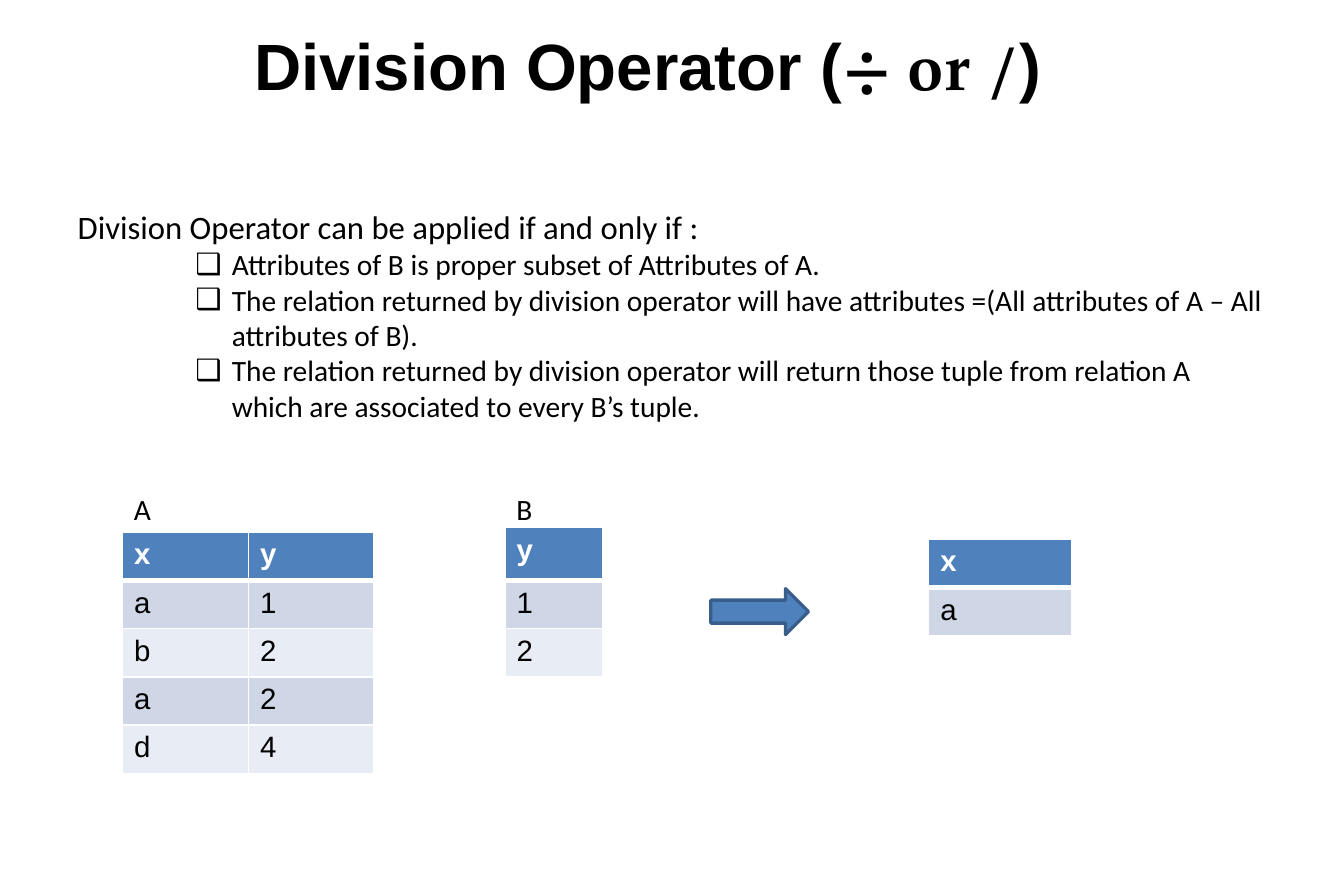
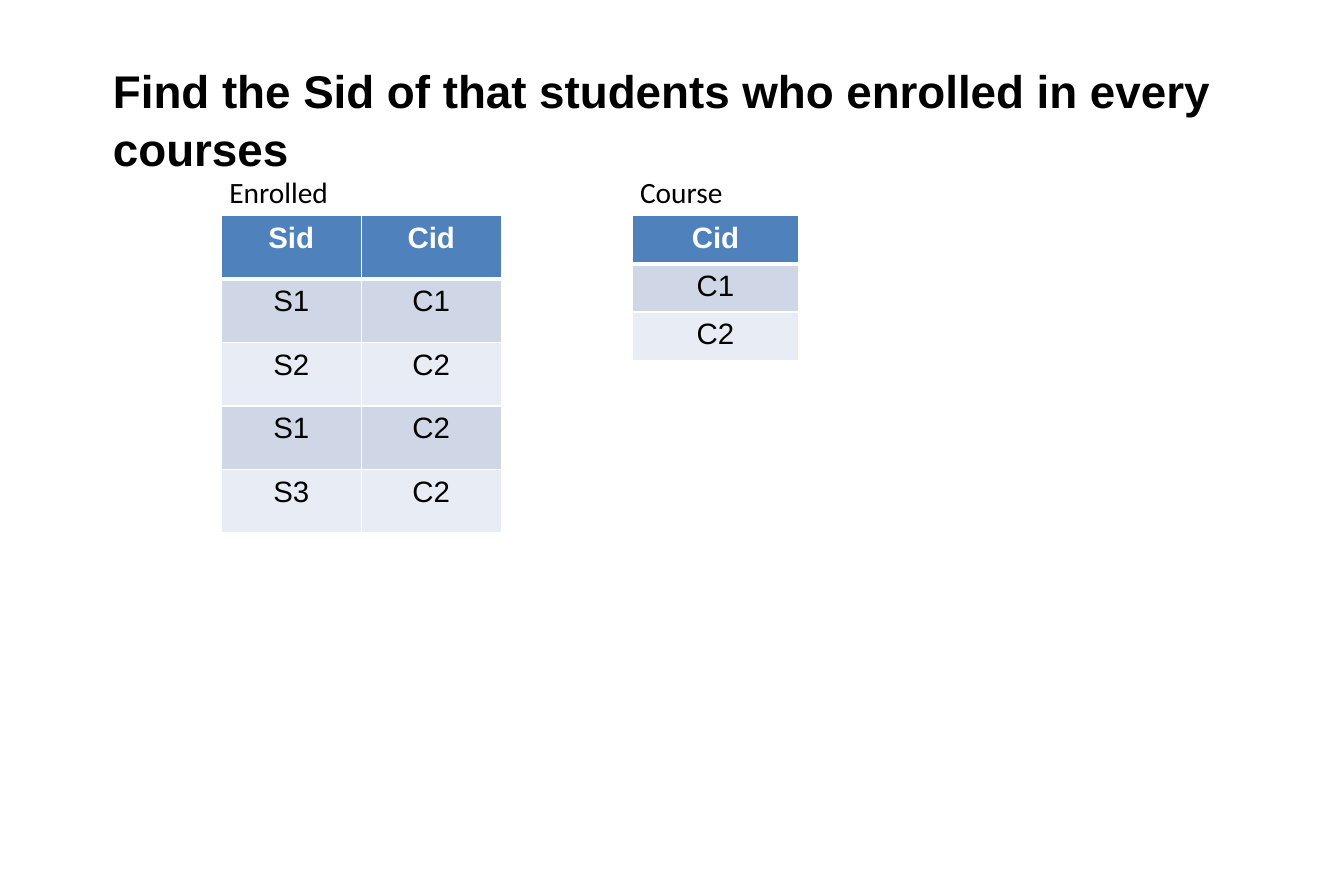
from dataclasses import dataclass

from lxml import etree
from pptx import Presentation
from pptx.dml.color import RGBColor
from pptx.enum.shapes import MSO_SHAPE
from pptx.enum.text import PP_ALIGN
from pptx.oxml.ns import qn
from pptx.util import Inches, Pt

RIGHT_ARROW = MSO_SHAPE.RIGHT_ARROW
LEFT, CENTER = PP_ALIGN.LEFT, PP_ALIGN.CENTER


@dataclass(frozen=True)
class Theme:
    ink: str = "000000"
    white: str = "FFFFFF"
    accent: str = "4F81BD"
    accent_dark: str = "395E89"
    bands: tuple = ("CFD7E7", "E8ECF4")
    sans: str = "Arial"
    body: str = "Calibri"
    serif: str = "TeX Gyre Pagella"
    title_size: int = 40
    question_size: int = 28
    lead_size: int = 20
    text_size: int = 18


T = Theme()


def add_run(p, text, font=T.body, size=T.text_size, color=T.ink, bold=False):
    r = p.add_run()
    r.text = text
    r.font.name, r.font.size, r.font.bold = font, Pt(size), bold
    r.font.color.rgb = RGBColor.from_string(color)
    return r


def set_bullet(p, char, indent, hanging):
    pPr = p._p.get_or_add_pPr()
    pPr.set("marL", str(Inches(indent)))
    pPr.set("indent", str(-Inches(hanging)))
    color = etree.SubElement(pPr, qn("a:buClr"))
    etree.SubElement(color, qn("a:srgbClr"), val=T.ink)
    etree.SubElement(pPr, qn("a:buFont"), typeface=T.sans)
    etree.SubElement(pPr, qn("a:buChar"), char=char)


def set_borders(cell, bottom):
    tcPr = cell._tc.get_or_add_tcPr()
    sides = (("a:lnL", 1), ("a:lnR", 1), ("a:lnT", 1), ("a:lnB", bottom))
    for i, (tag, width) in enumerate(sides):
        ln = etree.Element(qn(tag), w=str(Pt(width)))
        fill = etree.SubElement(ln, qn("a:solidFill"))
        etree.SubElement(fill, qn("a:srgbClr"), val=T.white)
        tcPr.insert(i, ln)


class Deck:
    def __init__(self, width, height):
        self.prs = Presentation()
        self.prs.slide_width, self.prs.slide_height = Inches(width), Inches(height)
        self.s = None

    def slide(self):
        self.s = self.prs.slides.add_slide(self.prs.slide_layouts[6])

    def text_box(self, x, y, w, h, inset=True):
        box = self.s.shapes.add_textbox(*map(Inches, (x, y, w, h)))
        tf = box.text_frame
        tf.word_wrap = True
        if not inset:
            tf.margin_left = tf.margin_top = tf.margin_right = tf.margin_bottom = 0
        return tf

    def title(self, x, y, w, h, parts, size, spacing=1.0):
        p = self.text_box(x, y, w, h, inset=False).paragraphs[0]
        p.line_spacing = spacing
        for text, font in parts:
            add_run(p, text, font=font, size=size, bold=True)

    def bullets(self, x, y, w, h, lead, items):
        tf = self.text_box(x, y, w, h, inset=False)
        add_run(tf.paragraphs[0], lead, size=T.lead_size)
        for item in items:
            p = tf.add_paragraph()
            set_bullet(p, "❑", indent=1.31, hanging=0.31)
            add_run(p, item)

    def label(self, x, y, w, text):
        add_run(self.text_box(x, y, w, 0.4).paragraphs[0], text)

    def table(self, x, y, col_w, row_h, rows, head_h=None, align=LEFT):
        heights = [head_h or row_h] + [row_h] * (len(rows) - 1)
        n_cols = len(rows[0])
        frame = self.s.shapes.add_table(
            len(rows), n_cols, Inches(x), Inches(y),
            Inches(col_w * n_cols), Inches(sum(heights)))
        tbl = frame.table
        for col in tbl.columns:
            col.width = Inches(col_w)
        for i, (row, h) in enumerate(zip(rows, heights)):
            tbl.rows[i].height = Inches(h)
            head = i == 0
            for j, text in enumerate(row):
                cell = tbl.cell(i, j)
                cell.fill.solid()
                cell.fill.fore_color.rgb = RGBColor.from_string(
                    T.accent if head else T.bands[(i - 1) % 2])
                set_borders(cell, bottom=3 if head else 1)
                p = cell.text_frame.paragraphs[0]
                p.alignment = align
                add_run(p, text, font=T.sans, bold=head,
                        color=T.white if head else T.ink)

    def arrow(self, x, y, w, h):
        sp = self.s.shapes.add_shape(RIGHT_ARROW, *map(Inches, (x, y, w, h)))
        sp.shadow.inherit = False
        sp.fill.solid()
        sp.fill.fore_color.rgb = RGBColor.from_string(T.accent)
        sp.line.color.rgb = RGBColor.from_string(T.accent_dark)
        sp.line.width = Pt(2)


def division_operator(deck):
    deck.slide()
    deck.title(2.16, 0.21, 6.97, 0.67, size=T.title_size, parts=[
        ("Division Operator (", T.sans), ("÷ or /", T.serif), (")", T.sans)])
    deck.bullets(
        0.66, 1.76, 10.11, 1.85,
        "Division Operator can be applied if and only if :",
        ["Attributes of B is proper subset of Attributes of A.",
         "The relation returned by division operator will have attributes "
         "=(All attributes of A – All attributes of B).",
         "The relation returned by division operator will return those tuple "
         "from relation A which are associated to every B’s tuple."])

    # Relations A and B, and their quotient
    deck.table(1.04, 4.52, 1.07, 0.41, ["xy", "a1", "b2", "a2", "d4"])
    deck.table(4.29, 4.48, 0.83, 0.41, ["y", "1", "2"], head_h=0.45)
    deck.table(7.89, 4.58, 1.22, 0.41, ["x", "a"])
    deck.arrow(6.04, 5, 0.83, 0.39)
    deck.label(4.29, 4.12, 0.5, "B")
    deck.label(1.04, 4.12, 0.67, "A")


def enrolled_students(deck):
    deck.slide()
    deck.title(0.96, 0.51, 9.72, 0.47, size=T.question_size, spacing=1.05, parts=[
        ("Find the Sid of that students who enrolled in every courses", T.sans)])

    # Enrolments and the course list
    enrolled = [("Sid", "Cid"), ("S1", "C1"), ("S2", "C2"), ("S1", "C2"), ("S3", "C2")]
    deck.table(1.88, 1.83, 1.19, 0.54, enrolled, align=CENTER)
    deck.label(1.85, 1.43, 1.08, "Enrolled")
    deck.table(5.37, 1.83, 1.42, 0.41, [("Cid",), ("C1",), ("C2",)], align=CENTER)
    deck.label(5.34, 1.43, 1.08, "Course")


def main():
    deck = Deck(11.42, 7.5)
    division_operator(deck)
    enrolled_students(deck)
    deck.prs.save("out.pptx")


if __name__ == "__main__":
    main()
